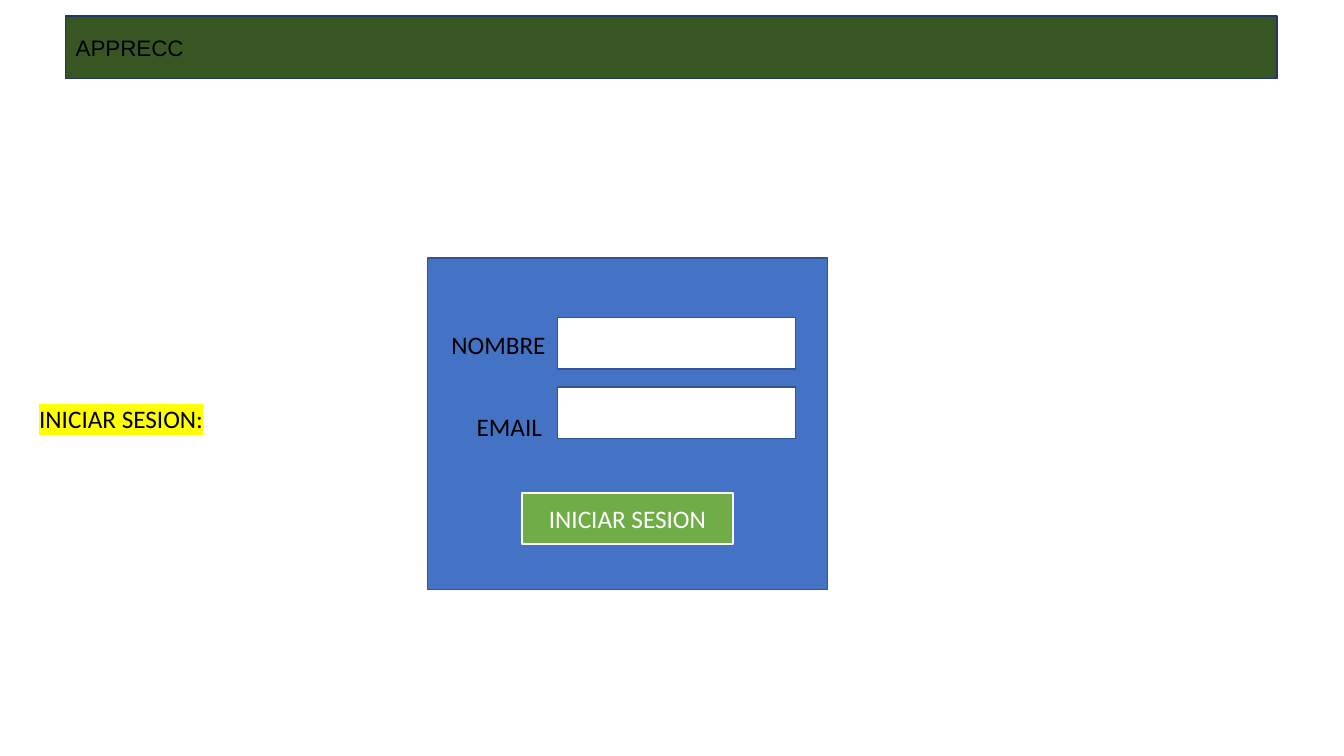
from dataclasses import dataclass
from lxml.etree import Element
from pptx import Presentation
from pptx.dml.color import RGBColor
from pptx.enum.shapes import MSO_SHAPE
from pptx.enum.text import MSO_ANCHOR, MSO_AUTO_SIZE, PP_ALIGN
from pptx.oxml.ns import qn
from pptx.util import Inches, Pt


@dataclass
class Theme:
    bar: str = "375623"
    edge: str = "1F3763"
    panel: str = "4472C4"
    rim: str = "325491"
    button: str = "70AD47"
    light: str = "FFFFFF"
    dark: str = "000000"
    mark: str = "FFFF00"
    head: int = 16
    base: int = 18


theme = Theme()
deck = Presentation()
deck.slide_width, deck.slide_height = Inches(13.33), Inches(7.5)
slide = deck.slides.add_slide(deck.slide_layouts[5])


def area(left, top, width, height):
    across, down = deck.slide_width / 100, deck.slide_height / 100
    return [round(n) for n in (left * across, top * down, width * across, height * down)]


def write(shape, text, size=theme.base, color=theme.dark, font="Calibri",
          align=PP_ALIGN.LEFT, anchor=MSO_ANCHOR.MIDDLE, wrap=True,
          fit=MSO_AUTO_SIZE.NONE, mark=None):
    frame = shape.text_frame
    frame.word_wrap, frame.auto_size = wrap, fit
    frame.vertical_anchor = anchor
    line = frame.paragraphs[0]
    line.alignment = align
    run = line.add_run()
    run.text = text
    run.font.size, run.font.name = Pt(size), font
    run.font.color.rgb = RGBColor.from_string(color)
    if mark:
        light = Element(qn("a:highlight"))
        light.append(light.makeelement(qn("a:srgbClr"), {"val": mark}))
        run.font.fill._xPr.find(qn("a:latin")).addprevious(light)


title = slide.shapes.title
title.left, title.top, title.width, title.height = area(4.88, 2.13, 90.15, 8.27)
title.fill.solid()
title.fill.fore_color.rgb = RGBColor.from_string(theme.bar)
title.line.color.rgb = RGBColor.from_string(theme.edge)
title.line.width = Pt(1)
write(title, "APPRECC", size=theme.head, font="Arial")

form = slide.shapes.add_group_shape()
top, step, tall = 42, 9.2, 6.8
boxes = [
    ((31.8, 34.13, 29.78, 43.87), theme.panel, theme.rim, 1, ""),
    ((41.48, top, 17.7, tall), theme.light, theme.rim, 1, ""),
    ((41.48, top + step, 17.7, tall), theme.light, theme.rim, 1, ""),
    ((38.85, 65.2, 15.68, tall), theme.button, theme.light, 1.5, "INICIAR SESION"),
]
for spot, fill, edge, width, text in boxes:
    box = form.shapes.add_shape(MSO_SHAPE.RECTANGLE, *area(*spot))
    box.shadow.inherit = False
    box.fill.solid()
    box.fill.fore_color.rgb = RGBColor.from_string(fill)
    box.line.color.rgb = RGBColor.from_string(edge)
    box.line.width = Pt(width)
    if text:
        write(box, text, color=theme.light, align=PP_ALIGN.CENTER)

labels = [
    (form, "NOMBRE", 32.85, 42.93, 8.55, None),
    (form, "EMAIL", 34.73, 53.73, 6.45, None),
    (slide, "INICIAR SESION:", 2.18, 52.67, 13.8, theme.mark),
]
for home, text, left, high, width, mark in labels:
    label = home.shapes.add_textbox(*area(left, high, width, 5.33))
    write(label, text, anchor=MSO_ANCHOR.TOP, wrap=False,
          fit=MSO_AUTO_SIZE.SHAPE_TO_FIT_TEXT, mark=mark)

deck.save("out.pptx")
